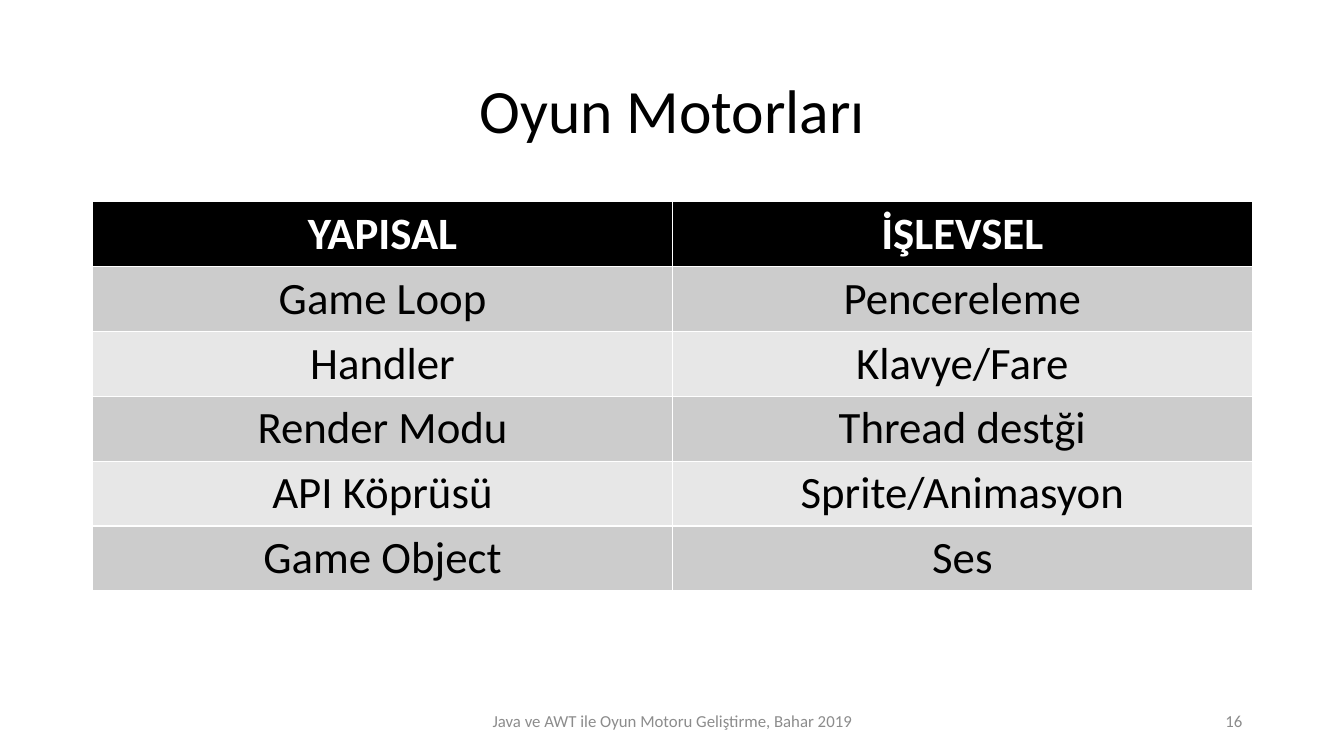
"""Build the slide comparing structural and functional parts of game engines."""
from dataclasses import dataclass

from pptx import Presentation
from pptx.dml.color import RGBColor
from pptx.enum.text import MSO_ANCHOR as Anchor, PP_ALIGN as Align
from pptx.util import Inches, Pt

FONT = "Calibri"
ROWS = [
    ("YAPISAL", "İŞLEVSEL"),
    ("Game Loop", "Pencereleme"),
    ("Handler", "Klavye/Fare"),
    ("Render Modu", "Thread destği"),
    ("API Köprüsü", "Sprite/Animasyon"),
    ("Game Object", "Ses"),
]
LEFT, WIDTH = 0.92, 11.5
ROW_HEIGHT = 0.64


@dataclass
class Note:
    text: str
    left: float
    width: float
    align: Align


NOTES = [
    Note("Java ve AWT ile Oyun Motoru Geliştirme, Bahar 2019", 4.42, 4.5, Align.CENTER),
    Note("16", 9.42, 3, Align.RIGHT),
]


def color(code: str) -> RGBColor:
    return RGBColor.from_string(code)


def write(frame, text: str, size: float, code: str,
          align: Align = Align.CENTER, bold: bool = False) -> None:
    frame.text = text
    line = frame.paragraphs[0]
    line.alignment = align
    font = line.font
    font.name, font.size, font.bold = FONT, Pt(size), bold
    font.color.rgb = color(code)


def add_title(slide, text: str) -> None:
    title = slide.shapes.title
    title.left, title.top = Inches(LEFT), Inches(0.4)
    title.width, title.height = Inches(WIDTH), Inches(1.45)
    frame = title.text_frame
    frame.vertical_anchor = Anchor.MIDDLE
    write(frame, text, 44, "000000")
    frame.paragraphs[0].line_spacing = 0.9


def add_grid(slide, rows: list[tuple[str, str]]) -> None:
    table = slide.shapes.add_table(
        len(rows), len(rows[0]), Inches(LEFT), Inches(2),
        Inches(WIDTH), Inches(ROW_HEIGHT * len(rows))).table
    for r, row in enumerate(rows):
        head = r == 0
        fill = "000000" if head else ("E7E7E7", "CCCCCC")[r % 2]
        for c, text in enumerate(row):
            cell = table.cell(r, c)
            cell.fill.solid()
            cell.fill.fore_color.rgb = color(fill)
            write(cell.text_frame, text, 32, "FFFFFF" if head else "000000", bold=head)


def add_note(slide, note: Note) -> None:
    box = slide.shapes.add_textbox(
        Inches(note.left), Inches(6.95), Inches(note.width), Inches(0.4))
    frame = box.text_frame
    frame.word_wrap = True
    frame.vertical_anchor = Anchor.MIDDLE
    write(frame, note.text, 12, "8C8C8C", note.align)


def main() -> None:
    deck = Presentation()
    deck.slide_width, deck.slide_height = Inches(13.33), Inches(7.5)
    slide = deck.slides.add_slide(deck.slide_layouts.get_by_name("Title Only"))
    add_title(slide, "Oyun Motorları")
    add_grid(slide, ROWS)
    for note in NOTES:
        add_note(slide, note)
    deck.save("out.pptx")


if __name__ == "__main__":
    main()
